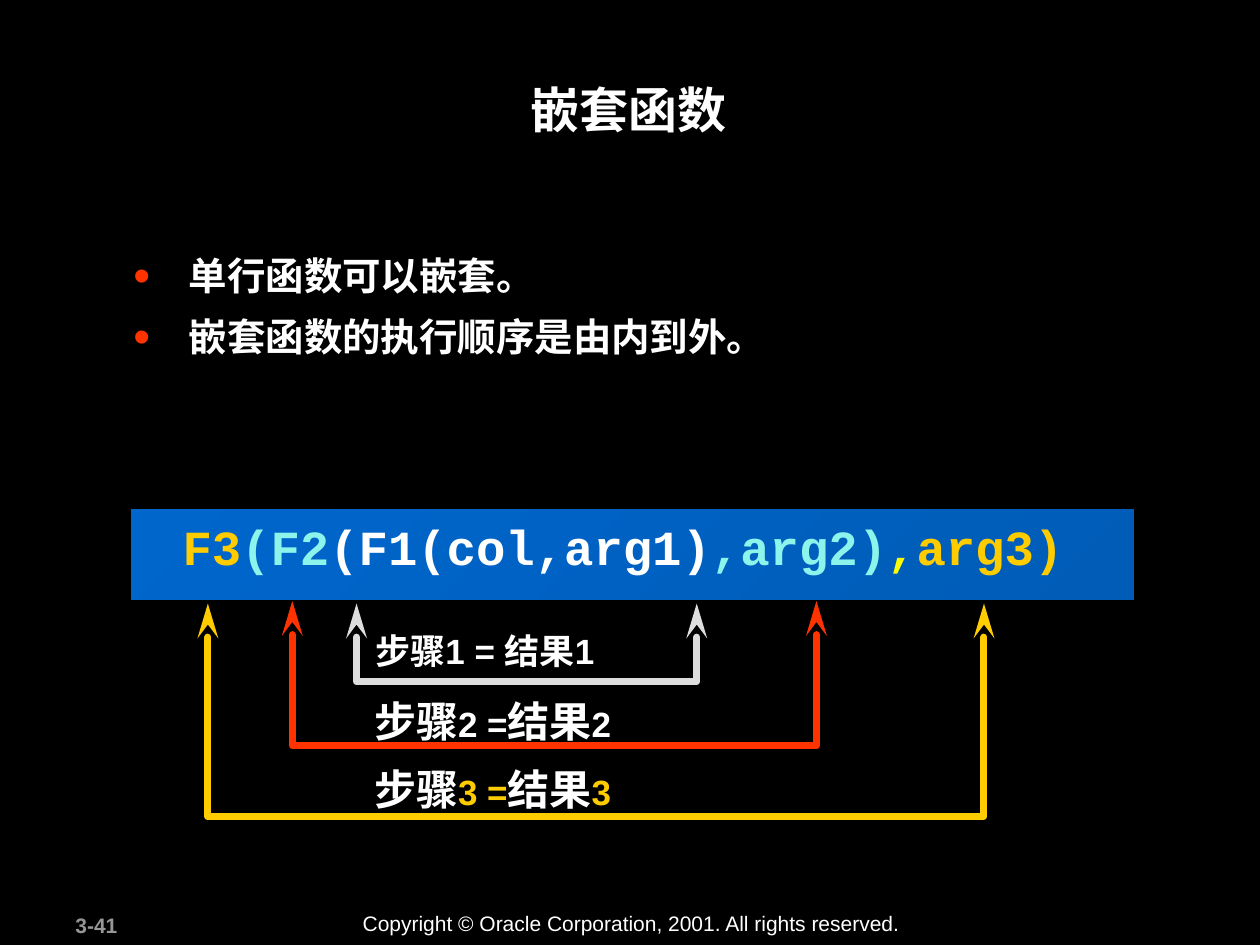
"""Build a slide on nested functions and their order of evaluation."""
from lxml import etree
from pptx import Presentation
from pptx.dml.color import RGBColor
from pptx.enum.shapes import MSO_SHAPE
from pptx.enum.text import MSO_ANCHOR, PP_ALIGN
from pptx.oxml.ns import qn
from pptx.util import Inches, Pt

RECTANGLE = MSO_SHAPE.RECTANGLE
TOP, MIDDLE = MSO_ANCHOR.TOP, MSO_ANCHOR.MIDDLE
LEFT, CENTER = PP_ALIGN.LEFT, PP_ALIGN.CENTER

BLACK = RGBColor(0x00, 0x00, 0x00)
WHITE = RGBColor(0xFF, 0xFF, 0xFF)
GRAY = RGBColor(0x96, 0x96, 0x96)
SILVER = RGBColor(0xDD, 0xDD, 0xDD)
GOLD = RGBColor(0xFF, 0xCC, 0x00)
YELLOW = RGBColor(0xFA, 0xFD, 0x00)
AQUA = RGBColor(0x8C, 0xF4, 0xEA)
RED = RGBColor(0xFF, 0x33, 0x00)
BAND_COLORS = (RGBColor(0x00, 0x66, 0xCC), RGBColor(0x00, 0x5C, 0xB7))

SANS, SERIF, MONO = "Arial", "Times New Roman", "Courier New"

TITLE = "嵌套函数"
BULLETS = ["单行函数可以嵌套。", "嵌套函数的执行顺序是由内到外。"]
CODE = [("F3", GOLD), ("(F2", AQUA), ("(F1(col,arg1)", WHITE),
        (",arg2)", AQUA), (",", YELLOW), ("arg3)", GOLD)]
STEP_ONE = "步骤1 = 结果1"
LATER_STEPS = [("2", WHITE, 5.47), ("3", GOLD, 6.01)]
BRACKETS = [(1.65, 7.81, 4.79, 6.48, GOLD),
            (2.32, 6.48, 4.77, 5.92, RED),
            (2.83, 5.53, 4.79, 5.41, SILVER)]
PAGE_NUMBER = "3-41"
COPYRIGHT = "Copyright © Oracle Corporation, 2001. All rights reserved."


def write_text(paragraph, text, size=20, font=SANS, color=WHITE, bold=True):
    run = paragraph.add_run()
    run.text = text
    run.font.size = Pt(size)
    run.font.name = font
    run.font.bold = bold
    run.font.color.rgb = color


def add_box(slide, left, top, width, height, wrap=False):
    shape = slide.shapes.add_textbox(*map(Inches, (left, top, width, height)))
    shape.text_frame.word_wrap = wrap
    return shape.text_frame


def add_bullet(paragraph):
    properties = paragraph._p.get_or_add_pPr()
    properties.set("marL", str(Inches(0.44)))
    properties.set("indent", str(-Inches(0.44)))
    color = etree.SubElement(properties, qn("a:buClr"))
    etree.SubElement(color, qn("a:srgbClr"), val=str(RED))
    etree.SubElement(properties, qn("a:buSzPct"), val="125000")
    etree.SubElement(properties, qn("a:buFont"), typeface=SANS)
    etree.SubElement(properties, qn("a:buChar"), char="•")


def add_bracket(slide, left, right, top, bottom, color):
    points = [(Inches(x), Inches(y)) for x, y in
              ((left, top), (left, bottom), (right, bottom), (right, top))]
    builder = slide.shapes.build_freeform(*points[0])
    builder.add_line_segments(points[1:], close=False)
    shape = builder.convert_to_shape()
    shape.shadow.inherit = False
    shape.fill.background()
    shape.line.color.rgb = color
    shape.line.width = Pt(4)
    line = shape.line._get_or_add_ln()
    line.set("cap", "rnd")
    etree.SubElement(line, qn("a:round"))
    for end in ("a:headEnd", "a:tailEnd"):
        etree.SubElement(line, qn(end), type="stealth", w="med", len="lg")


def add_code_band(slide):
    band = slide.shapes.add_shape(
        RECTANGLE, *map(Inches, (1.03, 4.03, 7.98, 0.74)))
    band.shadow.inherit = False
    band.fill.gradient()
    band.fill.gradient_angle = 315
    for stop, color in zip(band.fill.gradient_stops, BAND_COLORS):
        stop.color.rgb = color
    band.line.color.rgb = BLACK
    band.line.width = Pt(1)
    paragraph = add_box(slide, 1.35, 4.21, 7.19, 0.41).paragraphs[0]
    paragraph.line_spacing = Pt(22)
    for text, color in CODE:
        write_text(paragraph, text, size=28, font=MONO, color=color)


def main():
    presentation = Presentation()
    presentation.slide_width = Inches(10)
    presentation.slide_height = Inches(7.5)
    slide = presentation.slides.add_slide(presentation.slide_layouts[5])
    slide.background.fill.solid()
    slide.background.fill.fore_color.rgb = BLACK

    title = slide.shapes.title
    title.left, title.top, title.width, title.height = map(
        Inches, (0.94, 0.58, 8.1, 0.96))
    title.text_frame.vertical_anchor = TOP
    heading = title.text_frame.paragraphs[0]
    heading.alignment = CENTER
    write_text(heading, TITLE, size=28)

    body = add_box(slide, 0.96, 1.98, 8.08, 0.93, wrap=True)
    for index, text in enumerate(BULLETS):
        paragraph = body.add_paragraph() if index else body.paragraphs[0]
        add_bullet(paragraph)
        paragraph.line_spacing = 0.95
        if index:
            paragraph.space_before = Pt(9.6)
        write_text(paragraph, text, size=22)

    add_code_band(slide)
    for bracket in BRACKETS:
        add_bracket(slide, *bracket)

    write_text(add_box(slide, 2.88, 4.95, 2.14, 0.43).paragraphs[0], STEP_ONE)
    for number, color, top in LATER_STEPS:
        paragraph = add_box(slide, 2.87, top, 2.31, 0.5).paragraphs[0]
        for word, figure in (("步骤", f"{number} ="), ("结果", number)):
            write_text(paragraph, word, size=24, font=SERIF)
            write_text(paragraph, figure, color=color)

    page = add_box(slide, 0.5, 7.19, 1.05, 0.3, wrap=True)
    write_text(page.paragraphs[0], PAGE_NUMBER, size=12, color=GRAY)
    footer = add_box(slide, 2.78, 7.18, 4.48, 0.3)
    write_text(footer.paragraphs[0], COPYRIGHT, size=12, bold=False)
    presentation.save("out.pptx")


if __name__ == "__main__":
    main()
